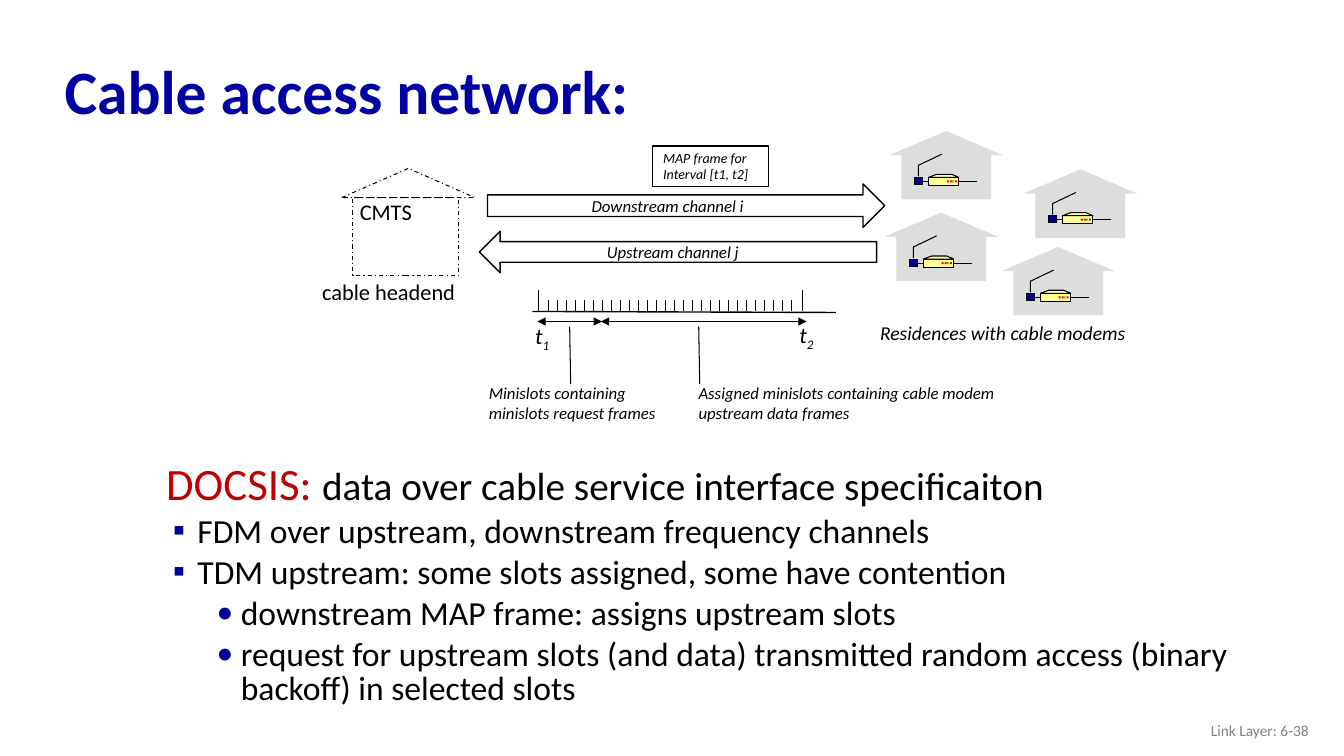
import pptx
import pptx.util
import pptx.dml.color
import pptx.enum.dml
import pptx.enum.shapes
import pptx.enum.text
import pptx.oxml.ns
from lxml import etree

Inches, Pt = pptx.util.Inches, pptx.util.Pt
SHAPE = pptx.enum.shapes.MSO_SHAPE
ALIGN = pptx.enum.text.PP_ALIGN
ANCHOR = pptx.enum.text.MSO_ANCHOR
qn = pptx.oxml.ns.qn
RGB = pptx.dml.color.RGBColor.from_string
COLORS = {"title": "0000A3", "bullet": "000099", "term": "C00000", "ink": "000000",
          "footer": "808080", "house": "DDDDDD", "modem": "FFFF99",
          "red": "FF0000", "green": "33CC33"}


def style(shape, fill=None, line=None, dash=None):
    shape.shadow.inherit = False
    if fill:
        shape.fill.solid()
        shape.fill.fore_color.rgb = RGB(COLORS[fill])
    else:
        shape.fill.background()
    if line:
        shape.line.color.rgb = RGB(COLORS["ink"])
        shape.line.width = Pt(line)
        shape.line.dash_style = dash
    else:
        shape.line.fill.background()


def add_line(holder, x1, y1, x2, y2, width=0.75, arrows=False):
    line = holder.add_connector(pptx.enum.shapes.MSO_CONNECTOR.STRAIGHT,
                                Inches(x1), Inches(y1), Inches(x2), Inches(y2))
    line.line.color.rgb = RGB(COLORS["ink"])
    line.line.width = Pt(width)
    if arrows:
        for end in ("a:headEnd", "a:tailEnd"):
            etree.SubElement(line.line._get_or_add_ln(), qn(end), type="triangle")
    etree.SubElement(line._element.spPr, qn("a:effectLst"))
    return line


deck = pptx.Presentation()
deck.slide_width, deck.slide_height = Inches(13.33), Inches(7.5)
page = deck.slides.add_slide(deck.slide_layouts[5])
shapes = page.shapes

# Title
title = shapes.title
title.left, title.top, title.width, title.height = map(Inches, (0.54, 0.45, 12.63, 0.98))
title.text_frame.text = "Cable access network:"
title.text_frame.auto_size = pptx.enum.text.MSO_AUTO_SIZE.NONE
title.text_frame.vertical_anchor = ANCHOR.MIDDLE
para = title.text_frame.paragraphs[0]
para.alignment, para.line_spacing = ALIGN.LEFT, 0.9
for name, value in {"name": "Calibri", "size": Pt(44), "bold": True}.items():
    setattr(para.font, name, value)
para.font.color.rgb = RGB(COLORS["title"])

# DOCSIS explanation
body = shapes.add_textbox(Inches(1.55), Inches(4.55), Inches(10.87), Inches(2.5)).text_frame
body.word_wrap = True
points = [
    (None, 0.38, -0.38, [("DOCSIS: ", 32, "term"),
                         ("data over cable service interface specificaiton", 28, "ink")]),
    ("▪", 0.31, -0.24, [("FDM over upstream, downstream frequency channels", 24, "ink")]),
    ("▪", 0.31, -0.24, [("TDM upstream: some slots assigned, some have contention", 24, "ink")]),
    ("•", 0.74, -0.24, [("downstream MAP frame: assigns upstream slots", 24, "ink")]),
    ("•", 0.74, -0.24, [("request for upstream slots (and data) transmitted random access "
                         "(binary backoff) in selected slots", 24, "ink")]),
]
for index, (bullet, margin, indent, spans) in enumerate(points):
    para = body.add_paragraph() if index else body.paragraphs[0]
    properties = para._p.get_or_add_pPr()
    properties.set("marL", str(Inches(margin)))
    properties.set("indent", str(Inches(indent)))
    if bullet:
        color = etree.SubElement(properties, qn("a:buClr"))
        etree.SubElement(color, qn("a:srgbClr"), val=COLORS["bullet"])
        etree.SubElement(properties, qn("a:buFont"), typeface="Calibri")
        etree.SubElement(properties, qn("a:buChar"), char=bullet)
    if bullet == "•":
        para.level = 1
    para.line_spacing = 0.85
    if index:
        para.space_before = Pt(4.8)
    for words, size, ink in spans:
        span = para.add_run()
        span.text = words
        span.font.name, span.font.size = "Calibri", Pt(size)
        span.font.color.rgb = RGB(COLORS[ink])

# Channel arrows, headend and MAP frame box
outlines = [
    (SHAPE.DOWN_ARROW, (6.59, 0.07, 0.43, 3.94), 270, 1, None),
    (SHAPE.DOWN_ARROW, (6.52, 0.53, 0.41, 3.94), 90, 1, None),
    (SHAPE.RECTANGLE, (6.47, 1.45, 1.15, 0.4), 0, 1, None),
    (SHAPE.RECTANGLE, (3.5, 1.96, 1.05, 0.77), 0, 0.75, pptx.enum.dml.MSO_LINE.DASH_DOT),
    (SHAPE.ISOSCELES_TRIANGLE, (3.39, 1.67, 1.32, 0.29), 0, 0.75,
     pptx.enum.dml.MSO_LINE.DASH_DOT),
]
for kind, place, turn, width, dash in outlines:
    outline = shapes.add_shape(kind, *map(Inches, place))
    outline.rotation = turn
    style(outline, line=width, dash=dash)

# Minislot time axis
add_line(shapes, 5.28, 3.09, 8.29, 3.1, 1)
for x in (5.34, 7.96):
    add_line(shapes, x, 2.88, x, 3.09, 1)
for slot in range(28):
    x = 5.44 + slot * 2.41 / 27
    add_line(shapes, x, 2.98, x, 3.09, 1)
for start, end in ((5.33, 5.97), (5.96, 8)):
    add_line(shapes, start, 3.19, end, 3.19, arrows=True)
for x in (5.65, 6.93):
    add_line(shapes, x, 3.24, x + 0.01, 3.81)

# Labels: lines, place, size, format
labels = [
    (["Link Layer: 6-38"], (10.08, 7.05, 3, 0.4), 11,
     {"color": "footer", "italic": False, "align": ALIGN.RIGHT, "anchor": ANCHOR.MIDDLE, "wrap": True}),
    (["Residences with cable modems"], (8.63, 3.13, 2.67, 0.34), 14, {}),
    (["Downstream channel i"], (5.77, 1.89, 1.73, 0.3), 12, {}),
    (["Upstream channel j"], (5.92, 2.35, 1.53, 0.3), 12, {}),
    (["MAP frame for", "Interval [t1, t2]"], (6.48, 1.43, 1.06, 0.44), 10, {"spacing": Pt(12)}),
    (["t"], (5.21, 3.15, 0.35, 0.37), 16, {"subscript": "1"}),
    (["t"], (7.83, 3.14, 0.35, 0.37), 16, {"subscript": "2"}),
    (["Assigned minislots containing cable modem", "upstream data frames"],
     (6.83, 3.75, 3.17, 0.5), 12, {}),
    (["Minislots containing", "minislots request frames"], (4.75, 3.75, 1.87, 0.5), 12, {}),
    (["cable headend"], (2.8, 2.76, 2.11, 0.32), 16,
     {"italic": False, "align": ALIGN.CENTER, "spacing": 0.8, "wrap": True}),
    (["CMTS"], (3.47, 1.92, 1.04, 0.37), 16, {"italic": False, "wrap": True}),
]
for lines, place, size, look in labels:
    frame = shapes.add_textbox(*map(Inches, place)).text_frame
    frame.word_wrap = look.get("wrap", False)
    frame.vertical_anchor = look.get("anchor", ANCHOR.TOP)
    frame.text = "\n".join(lines)
    if "subscript" in look:
        span = frame.paragraphs[0].add_run()
        span.text = look["subscript"]
        span._r.get_or_add_rPr().set("baseline", "-25000")
    for para in frame.paragraphs:
        para.alignment = look.get("align", ALIGN.LEFT)
        para.line_spacing = look.get("spacing")
        for span in para.runs:
            for name, value in {"name": "Calibri", "size": Pt(size),
                                "italic": look.get("italic", True)}.items():
                setattr(span.font, name, value)
            span.font.color.rgb = RGB(COLORS[look.get("color", "ink")])

# Houses with cable modems, parts placed from the roof's corner
house_parts = [
    (SHAPE.ISOSCELES_TRIANGLE, 0, 0, 1.13, 0.24, "house", None),
    (SHAPE.RECTANGLE, 0.12, 0.21, 0.89, 0.47, "house", None),
    (SHAPE.RECTANGLE, 0.25, 0.46, 0.08, 0.07, "bullet", 0.75),
    (SHAPE.RECTANGLE, 0.39, 0.46, 0.3, 0.08, "modem", 0.75),
]
lights = [(0.57, "red"), (0.6, "red"), (0.62, "green"), (0.65, "red")]
house_parts[3:3] = []
outline_paths = [
    ([(0.39, 0.46), (0.47, 0.43), (0.62, 0.43), (0.69, 0.46)], True, "modem"),
    ([(0.29, 0.45), (0.29, 0.34), (0.52, 0.23)], False, None),
]
for left, top in ((8.82, 1.3), (10.15, 1.68), (9.93, 2.45), (8.77, 2.11)):
    house = shapes.add_group_shape().shapes
    for kind, x, y, width, height, fill, line in house_parts:
        part = house.add_shape(kind, *map(Inches, (left + x, top + y, width, height)))
        style(part, fill, line)
    modem = part
    for x, fill in lights:
        light = house.add_shape(SHAPE.RECTANGLE, *map(Inches, (left + x, top + 0.49, 0.02, 0.02)))
        style(light, fill)
    for path, closed, fill in outline_paths:
        corners = [(Inches(left + x), Inches(top + y)) for x, y in path]
        builder = house.build_freeform(*corners[0])
        builder.add_line_segments(corners[1:], close=closed)
        style(builder.convert_to_shape(), fill, 0.75)
    for outer, inner, side in ((0.26, 0.39, 1), (0.87, 0.69, 3)):
        wire = add_line(house, left + outer, top + 0.5, left + inner, top + 0.5)
        wire.end_connect(modem, side)

deck.save("out.pptx")
